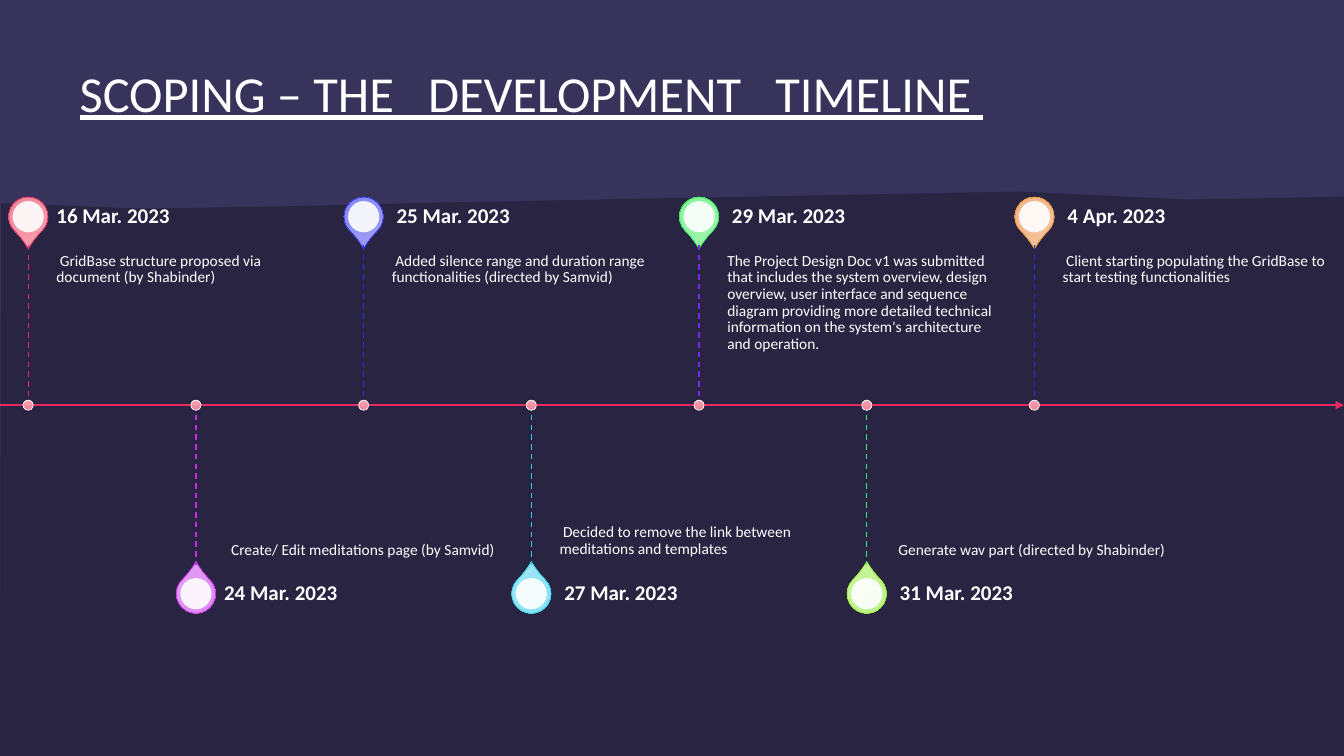
from dataclasses import dataclass

from lxml.etree import SubElement
from pptx import Presentation
from pptx.dml.color import RGBColor
from pptx.enum.dml import MSO_LINE
from pptx.enum.shapes import MSO_CONNECTOR, MSO_SHAPE
from pptx.enum.text import MSO_ANCHOR, PP_ALIGN
from pptx.oxml.ns import qn
from pptx.util import Inches, Pt

WIDTH, HEIGHT = 13.33, 7.5
AXIS_Y = 4.02
FIRST_X, LAST_X = 0.28, 10.26
PIN_OFFSET = 1.87
STEM_LENGTH = 1.59
DATE_HEIGHT = 2 * (PIN_OFFSET - STEM_LENGTH)
TEXT_GAP, TEXT_WIDTH = 0.28, 2.77
DARK, PURPLE, WHITE, CRIMSON = "282441", "38335B", "FFFFFF", "E72961"
DOT_GRADIENT = ("F4A3B1", "F38095")
HILLSIDE = [(10.12, 1.9), (11.77, 1.98), (12.43, 1.97), (WIDTH, 1.95),
            (WIDTH, HEIGHT), (0, HEIGHT), (0.01, 2.02), (0.08, 2.02),
            (1.4, 2.07), (2.72, 2.05), (3.54, 2.03), (4.36, 2.01)]


@dataclass
class Milestone:
    date: str
    event: str
    gradient: tuple
    outline: str
    stem: str


MILESTONES = [
    Milestone("16 Mar. 2023",
              " GridBase structure proposed via document (by Shabinder)",
              ("F4A3B1", "F38095"), CRIMSON, CRIMSON),
    Milestone("24 Mar. 2023",
              "  Create/ Edit meditations page (by Samvid)",
              ("E2A3F4", "DC80F3"), "CA29E7", "CA29E7"),
    Milestone(" 25 Mar. 2023",
              " Added silence range and duration range functionalities "
              "(directed by Samvid)",
              ("A3A3F4", "8081F3"), "292CE7", "292CE7"),
    Milestone(" 27 Mar. 2023",
              " Decided to remove the link between meditations and templates",
              ("A3E6F4", "80E0F3"), "29CFE7", "29CFE7"),
    Milestone(" 29 Mar. 2023",
              "The Project Design Doc v1 was submitted that includes the system "
              "overview, design overview, user interface and sequence diagram "
              "providing more detailed technical information on the system's "
              "architecture and operation.",
              ("A3F4AF", "80F392"), "29E75B", "7829E7"),
    Milestone(" 31 Mar. 2023",
              " Generate wav part (directed by Shabinder)",
              ("CAF4A3", "B8F380"), "9AE729", "29E784"),
    Milestone(" 4 Apr. 2023",
              " Client starting populating the GridBase to start testing "
              "functionalities",
              ("F4C5A3", "F3B180"), "E79029", "292CE7"),
]


def rgb(color):
    return RGBColor.from_string(color)


def fill_solid(shape, color):
    shape.shadow.inherit = False
    shape.fill.solid()
    shape.fill.fore_color.rgb = rgb(color)
    shape.line.fill.background()


def fill_gradient(shape, gradient, outline):
    """Shade from top to bottom inside a thin outline."""
    shape.shadow.inherit = False
    shape.fill.gradient()
    shape.fill.gradient_angle = 270
    for stop, color in zip(shape.fill.gradient_stops, gradient):
        stop.color.rgb = rgb(color)
    shape.line.color.rgb = rgb(outline)
    shape.line.width = Pt(0.5)


def add_centred(slide, kind, x, y, size):
    return slide.shapes.add_shape(kind, Inches(x - size / 2), Inches(y - size / 2),
                                  Inches(size), Inches(size))


def add_line(slide, start, end, color, width):
    line = slide.shapes.add_connector(MSO_CONNECTOR.STRAIGHT,
                                      *map(Inches, start + end))
    line.line.color.rgb = rgb(color)
    line.line.width = Pt(width)
    SubElement(line.element.spPr, qn("a:effectLst"))
    return line


def write(frame, text, size, anchor, insets=(0, 0, 0, 0), bold=False,
          underline=False):
    """Fill a text frame; insets run left, top, right, bottom."""
    frame.word_wrap = True
    frame.vertical_anchor = anchor
    (frame.margin_left, frame.margin_top,
     frame.margin_right, frame.margin_bottom) = map(Inches, insets)
    paragraph = frame.paragraphs[0]
    paragraph.text = text
    paragraph.alignment = PP_ALIGN.LEFT
    paragraph.line_spacing = 0.9
    font = paragraph.runs[0].font
    font.name, font.size = "Calibri", Pt(size)
    font.bold, font.underline = bold, underline
    font.color.rgb = rgb(WHITE)


def add_text(slide, x, y, height, *args, **kwargs):
    box = slide.shapes.add_textbox(Inches(x), Inches(y), Inches(TEXT_WIDTH),
                                   Inches(height))
    write(box.text_frame, *args, **kwargs)


def add_backdrop(slide):
    slide.background.fill.solid()
    slide.background.fill.fore_color.rgb = rgb(DARK)
    sky = slide.shapes.add_shape(MSO_SHAPE.RECTANGLE, 0, 0, Inches(WIDTH),
                                 Inches(HEIGHT))
    fill_solid(sky, PURPLE)
    outline = [(Inches(x), Inches(y)) for x, y in HILLSIDE]
    builder = slide.shapes.build_freeform(*outline[0])
    builder.add_line_segments(outline[1:], close=True)
    fill_solid(builder.convert_to_shape(), DARK)


def add_title(slide, text):
    title = slide.shapes.title
    slide.shapes.element.append(title.element)
    title.left, title.top = Inches(0.79), Inches(0.68)
    title.width, title.height = Inches(11.73), Inches(0.75)
    write(title.text_frame, text, 36, MSO_ANCHOR.TOP, underline=True)


def add_axis(slide):
    axis = add_line(slide, (0, AXIS_Y), (WIDTH, AXIS_Y), CRIMSON, 1.5)
    SubElement(axis.line._get_or_add_ln(), qn("a:tailEnd"), type="triangle")


def add_pin(slide, x, y, rotation, milestone):
    drop = add_centred(slide, MSO_SHAPE.TEAR, x, y, 0.39)
    drop.adjustments[0] = 1.15
    drop.rotation = rotation
    fill_gradient(drop, milestone.gradient, milestone.outline)
    eye = add_centred(slide, MSO_SHAPE.OVAL, x, y, 0.31)
    fill_solid(eye, WHITE)
    tint = eye.element.spPr.find(qn("a:solidFill"))[0]
    SubElement(tint, qn("a:alpha"), val="90000")


def add_milestone(slide, x, milestone, above):
    side = -1 if above else 1
    pin_y = AXIS_Y + side * PIN_OFFSET
    stem_end = AXIS_Y + side * STEM_LENGTH
    add_pin(slide, x, pin_y, 135 if above else 315, milestone)
    add_text(slide, x + TEXT_GAP, min(AXIS_Y, stem_end), STEM_LENGTH,
             milestone.event, 11,
             MSO_ANCHOR.TOP if above else MSO_ANCHOR.BOTTOM,
             (0, 0.08, 0.08, 0.11) if above else (0, 0.11, 0, 0.08))
    add_text(slide, x + TEXT_GAP, pin_y - DATE_HEIGHT / 2, DATE_HEIGHT,
             milestone.date, 15, MSO_ANCHOR.MIDDLE, (0, 0, 0.1, 0), bold=True)
    stem = add_line(slide, (x, min(AXIS_Y, stem_end)), (x, max(AXIS_Y, stem_end)),
                    milestone.stem, 1)
    stem.line.dash_style = MSO_LINE.DASH
    dot = add_centred(slide, MSO_SHAPE.OVAL, x, AXIS_Y, 0.1)
    fill_gradient(dot, DOT_GRADIENT, WHITE)


def main():
    deck = Presentation()
    deck.slide_width, deck.slide_height = Inches(WIDTH), Inches(HEIGHT)
    slide = deck.slides.add_slide(deck.slide_layouts[5])
    add_backdrop(slide)
    add_title(slide, "SCOPING – THE   DEVELOPMENT   TIMELINE ")
    add_axis(slide)
    pitch = (LAST_X - FIRST_X) / (len(MILESTONES) - 1)
    for index, milestone in enumerate(MILESTONES):
        add_milestone(slide, FIRST_X + index * pitch, milestone, index % 2 == 0)
    deck.save("out.pptx")


if __name__ == "__main__":
    main()
